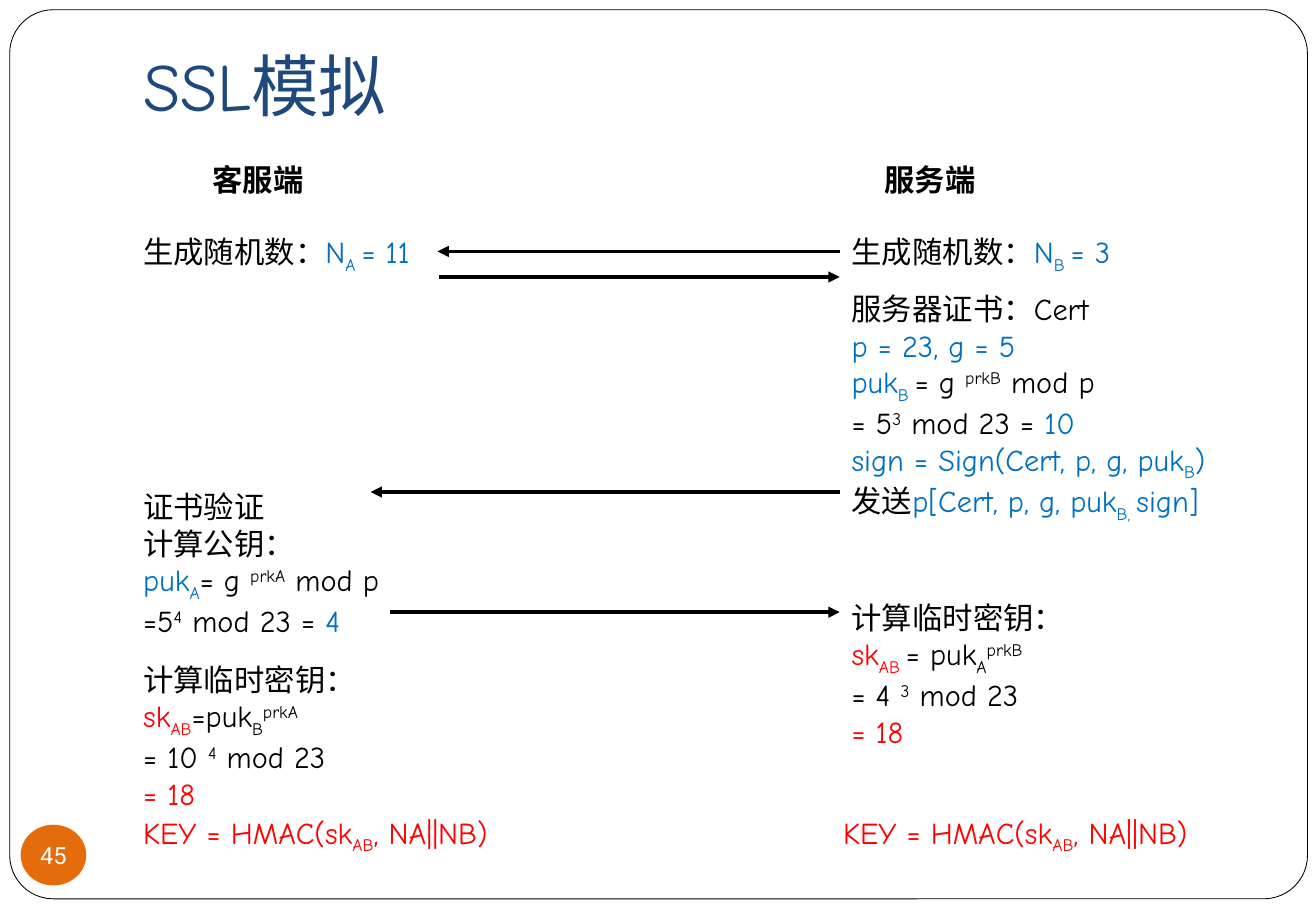
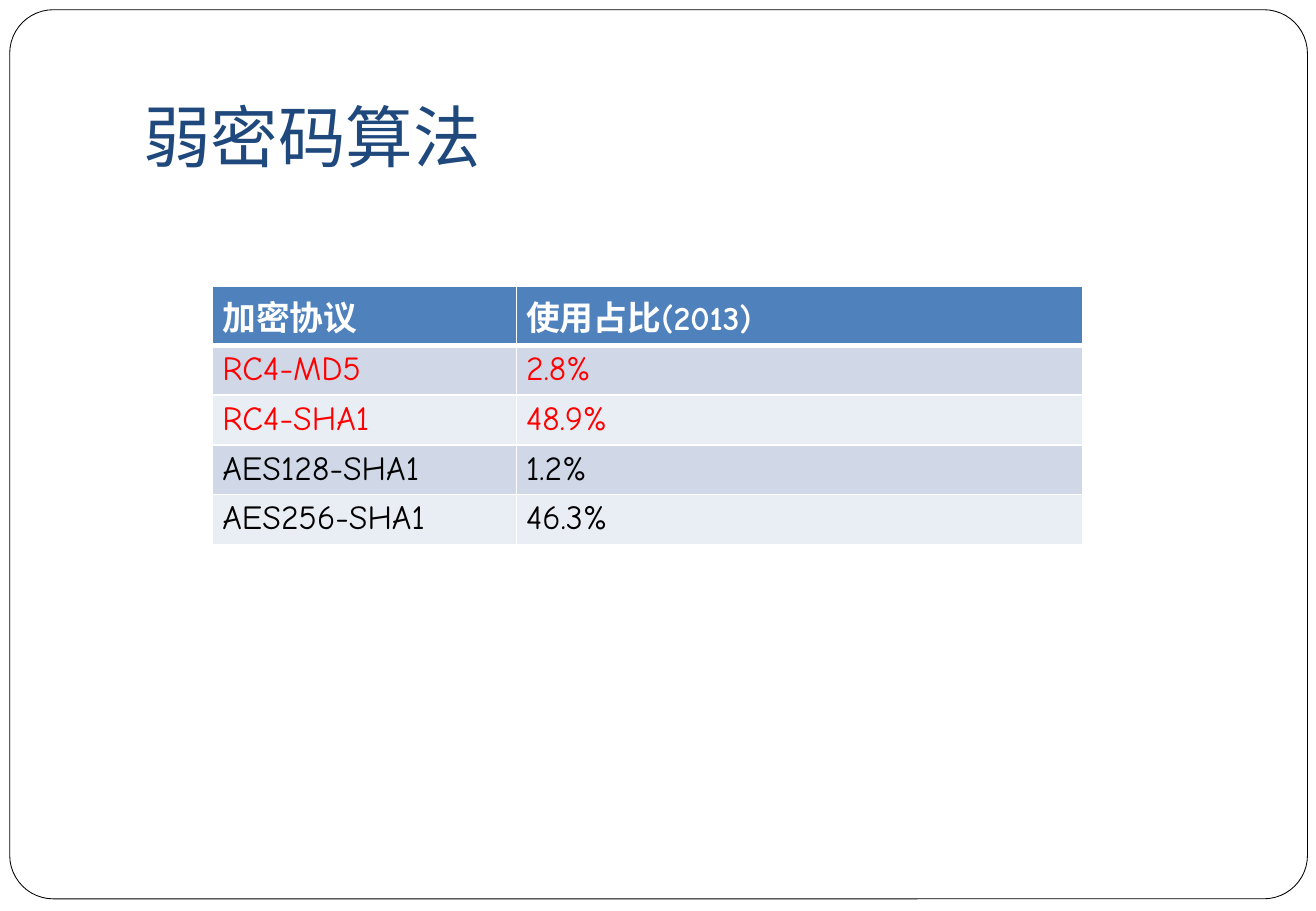
from typing import NamedTuple

from pptx import Presentation
from pptx import util as u
from pptx.dml.color import RGBColor
from pptx.enum import shapes, text
from pptx.oxml import parse_xml
from pptx.oxml.ns import nsdecls, qn

BLACK, WHITE, BLUE, RED = "000000", "FFFFFF", "0070C0", "FF0000"
NAVY, ORANGE, HEAD = "1F497D", "E46C0A", "4F81BD"
BANDS = ("D0D8E8", "E9EDF4")
LATIN, CJK, DIGIT = "Comic Neue", "Noto Sans CJK SC", "Roboto"
SUB, SUP = -25, 30
LEFT, RIGHT = 1.08, 6.91
LINE = 0.4


class Bit(NamedTuple):
    text: str
    color: str = BLACK
    base: int = 0


class Note(NamedTuple):
    left: float
    top: float
    width: float
    height: float
    lines: list
    wrap: bool = False
    font: str = LATIN
    bold: bool = False


class Arrow(NamedTuple):
    start: float
    end: float
    y: float


def rgb(code: str) -> RGBColor:
    return RGBColor.from_string(code)


def style(run, size: float, color: str, font: str = LATIN, bold: bool = False) -> None:
    run.font.size = u.Pt(size)
    run.font.name = font
    run.font.bold = bold
    run.font.color.rgb = rgb(color)
    props = run.font._element
    props.append(parse_xml(f'<a:ea {nsdecls("a")} typeface="{CJK}"/>'))


def inset(frame, left: float, top: float, right: float, bottom: float) -> None:
    frame.margin_left, frame.margin_top = u.Inches(left), u.Inches(top)
    frame.margin_right, frame.margin_bottom = u.Inches(right), u.Inches(bottom)


def add_form(slide, kind, box: tuple, fill: str):
    form = slide.shapes.add_shape(kind, *map(u.Inches, box))
    form.shadow.inherit = False
    form.fill.solid()
    form.fill.fore_color.rgb = rgb(fill)
    form.line.fill.background()
    return form


def add_frame(slide) -> None:
    """Draw the rounded page frame and move it to the layout that slides share."""
    frame = add_form(slide, shapes.MSO_SHAPE.ROUNDED_RECTANGLE,
                     (0.08, 0.08, 10.68, 7.32), WHITE)
    frame.adjustments[0] = 0.049
    frame.line.color.rgb = rgb(BLACK)
    frame.line.width = u.Pt(0.5)
    slide.slide_layout.shapes.element.insert(2, frame.element)


def add_title(slide, words: str, height: float) -> None:
    title = slide.shapes.title
    title.left, title.top = u.Inches(LEFT), u.Inches(0.3)
    title.width, title.height = u.Inches(9.21), u.Inches(height)
    frame = title.text_frame
    frame.text = words
    frame.auto_size = text.MSO_AUTO_SIZE.NONE
    frame.vertical_anchor = text.MSO_ANCHOR.BOTTOM
    inset(frame, 0.1, 0.05, 0.1, 0.1)
    frame.paragraphs[0].alignment = text.PP_ALIGN.LEFT
    style(frame.paragraphs[0].runs[0], 40, NAVY)


def add_badge(slide, number: str) -> None:
    badge = add_form(slide, shapes.MSO_SHAPE.OVAL, (0.17, 6.79, 0.54, 0.5), ORANGE)
    frame = badge.text_frame
    frame.text = number
    frame.word_wrap = False
    frame.vertical_anchor = text.MSO_ANCHOR.MIDDLE
    inset(frame, 0, 0, 0, 0)
    frame.paragraphs[0].alignment = text.PP_ALIGN.CENTER
    style(frame.paragraphs[0].runs[0], 14, WHITE, DIGIT)


def add_note(slide, note: Note):
    box = slide.shapes.add_textbox(*map(u.Inches, note[:4]))
    frame = box.text_frame
    frame.word_wrap = note.wrap
    frame.auto_size = text.MSO_AUTO_SIZE.SHAPE_TO_FIT_TEXT
    for i, line in enumerate(note.lines):
        para = frame.add_paragraph() if i else frame.paragraphs[0]
        for bit in line:
            run = para.add_run()
            run.text = bit.text
            style(run, 18, bit.color, note.font, note.bold)
            if bit.base:
                run.font._element.set("baseline", str(bit.base * 1000))
    return box


def add_arrow(slide, arrow: Arrow):
    link = slide.shapes.add_connector(
        shapes.MSO_CONNECTOR.STRAIGHT, u.Inches(arrow.start), u.Inches(arrow.y),
        u.Inches(arrow.end), u.Inches(arrow.y))
    link.line.color.rgb = rgb(BLACK)
    link.line.width = u.Pt(2.25)
    link.line._get_or_add_ln().append(
        parse_xml(f'<a:tailEnd {nsdecls("a")} type="triangle"/>'))
    link.element.spPr.append(parse_xml(f'<a:effectLst {nsdecls("a")}/>'))
    return link


def add_border(cell, head: bool) -> None:
    """Edge a cell in white, thicker under the heading row."""
    props = cell._tc.get_or_add_tcPr()
    for i, side in enumerate(("lnL", "lnR", "lnT", "lnB")):
        width = u.Pt(3 if head and side == "lnB" else 1)
        props.insert(i, parse_xml(
            f'<a:{side} {nsdecls("a")} w="{width}"><a:solidFill>'
            f'<a:srgbClr val="{WHITE}"/></a:solidFill></a:{side}>'))


def add_grid(slide, rows: list, cols: tuple) -> None:
    high = 0.41
    grid = slide.shapes.add_table(
        len(rows), len(cols), u.Inches(1.75), u.Inches(2.36),
        u.Inches(sum(cols)), u.Inches(high * len(rows))).table
    grid.horz_banding = False
    for col, width in zip(grid.columns, cols):
        col.width = u.Inches(width)
    for r, (color, *words) in enumerate(rows):
        grid.rows[r].height = u.Inches(high)
        for c, word in enumerate(words):
            cell = grid.cell(r, c)
            cell.text_frame.text = word
            inset(cell, 0.08, 0.04, 0.08, 0.04)
            style(cell.text_frame.paragraphs[0].runs[0], 20, color, bold=r == 0)
            cell.fill.solid()
            cell.fill.fore_color.rgb = rgb(BANDS[(r - 1) % 2] if r else HEAD)
            add_border(cell, r == 0)


def heading(left: float, word: str) -> Note:
    return Note(left, 1.28, 0.96, LINE, [[Bit(word)]], font=CJK, bold=True)


def nonce(left: float, width: float, who: str, value: str) -> Note:
    return Note(left, 1.87, width, LINE, [[
        Bit("生成随机数："), Bit("N", BLUE), Bit(who + " ", BLUE, SUB),
        Bit("= " + value, BLUE)]])


def secret(left: float, top: float, gap: str, peer: str, key: str,
           base: str, power: str) -> Note:
    """Build the steps that give the shared session key."""
    return Note(left, top, 1.97, 1.31, [
        [Bit("计算临时密钥：")],
        [Bit("sk", RED), Bit("AB" + gap, RED, SUB), Bit("=" + gap + "puk"),
         Bit(peer, BLACK, SUB), Bit(key, BLACK, SUP)],
        [Bit(f"= {base} "), Bit(power, BLACK, SUP), Bit(" mod 23")],
        [Bit("= 18", RED)]])


def final(left: float) -> Note:
    return Note(left, 6.65, 3.49, LINE, [[
        Bit("KEY = HMAC(sk", RED), Bit("AB", RED, SUB), Bit(", NA||NB)", RED)]])


def public(who: str, gap: str, key: str) -> list:
    return [Bit("puk", BLUE), Bit(who + gap, BLUE, SUB), Bit("= g "),
            Bit(key, BLACK, SUP), Bit(" mod p")]


def power(lead: str, exp: str, value: str) -> list:
    return [Bit(lead), Bit(exp, BLACK, SUP), Bit(" mod 23 = "), Bit(value, BLUE)]


VERIFY = Note(LEFT, 3.97, 2.29, 1.31, [
    [Bit("证书验证")],
    [Bit("计算公钥：")],
    public("A", "", "prkA"),
    power("=5", "4", "4")])
CERT = Note(RIGHT, 2.34, 3.81, 1.92, [
    [Bit("服务器证书：Cert")],
    [Bit("p = 23, g = 5", BLUE)],
    public("B", " ", "prkB"),
    power("= 5", "3", "10"),
    [Bit("sign = Sign(Cert, p, g, puk", BLUE), Bit("B", BLUE, SUB), Bit(")", BLUE)],
    [Bit("发送"), Bit("p[Cert, p, g, puk", BLUE), Bit("B, ", BLUE, SUB),
     Bit("sign]", BLUE)]], wrap=True)
NOTES = [
    heading(1.65, "客服端"), heading(7.18, "服务端"), VERIFY, CERT,
    secret(LEFT, 5.39, "", "B", "prkA", "10", "4"),
    secret(RIGHT, 4.88, " ", "A", "prkB", "4", "3"),
    final(LEFT), final(6.84)]
ARROWS = [Arrow(3.61, RIGHT, 2.28), Arrow(RIGHT, 3.05, 4.05), Arrow(3.21, RIGHT, 5.04)]
SHARES = [
    (WHITE, "加密协议", "使用占比(2013)"),
    (RED, "RC4-MD5", "2.8%"),
    (RED, "RC4-SHA1", "48.9%"),
    (BLACK, "AES128-SHA1", "1.2%"),
    (BLACK, "AES256-SHA1", "46.3%")]


def build_flow(slide) -> None:
    add_title(slide, "SSL模拟", 0.83)
    add_badge(slide, "45")
    client = add_note(slide, nonce(LEFT, 2.52, "A", "11"))
    server = add_note(slide, nonce(RIGHT, 2.45, "B", "3"))
    reply = add_arrow(slide, Arrow(RIGHT, 3.6, 2.07))
    reply.begin_connect(server, 1)
    reply.end_connect(client, 3)
    for note in NOTES:
        add_note(slide, note)
    for arrow in ARROWS:
        add_arrow(slide, arrow)


def build_shares(slide) -> None:
    add_title(slide, "弱密码算法", 1.25)
    add_grid(slide, SHARES, (2.5, 4.66))


def main() -> None:
    deck = Presentation()
    deck.slide_width, deck.slide_height = u.Inches(10.83), u.Inches(7.5)
    layout = deck.slide_layouts[5]
    flow, shares = (deck.slides.add_slide(layout) for _ in range(2))
    add_frame(flow)
    build_flow(flow)
    build_shares(shares)
    deck.save("out.pptx")


if __name__ == "__main__":
    main()
